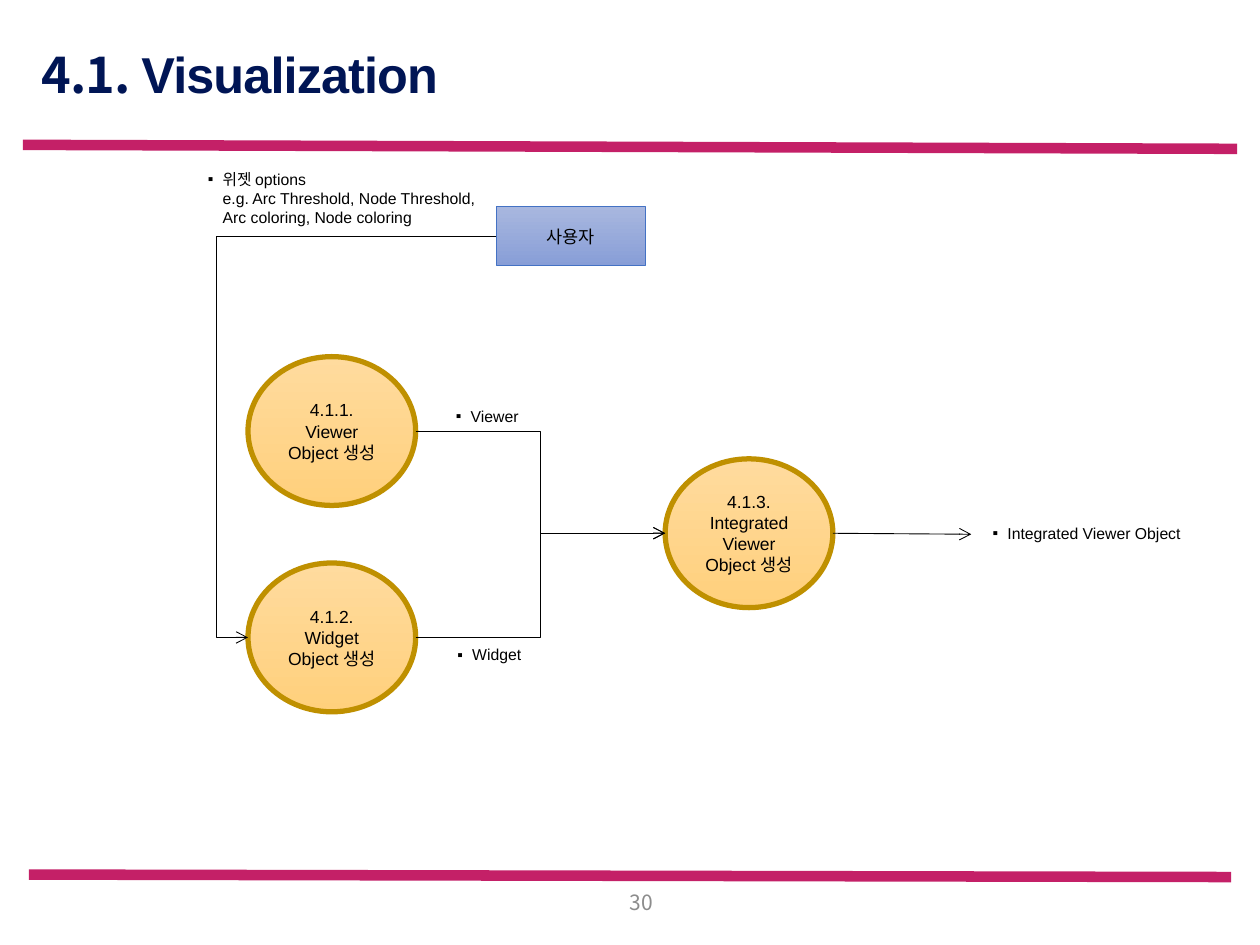
from lxml.etree import SubElement
from pptx import Presentation
from pptx.dml.color import RGBColor
from pptx.enum.shapes import MSO_CONNECTOR as Link, MSO_SHAPE as Kind
from pptx.enum.text import MSO_ANCHOR as Anchor, MSO_AUTO_SIZE as Fit, PP_ALIGN as Align
from pptx.oxml.ns import qn
from pptx.util import Cm, Pt

# Content, all lengths in cm
INK = {"rule": "C42067", "title": "001555", "page": "8C8C8C", "text": "000000",
       "ring": "BF9000", "top": "FFDB9E", "low": "FFD07C",
       "edge": "4472C4", "pale": "A8B7DF", "deep": "889ED7"}
SANS, CJK = "Arial", "Noto Sans CJK KR"
TITLE = [("4.1. ", CJK), ("Visualization", SANS)]
PAGE = "30"
RULES = [(0.46, 2.92, 24.94, 3.0), (0.58, 17.63, 24.82, 17.68)]
WIDE, HIGH = 3.38, 3.0
STEPS = {"view": ("4.1.1. Viewer Object 생성", 5.0, 7.19),
         "widget": ("4.1.2. Widget Object 생성", 5.0, 11.35),
         "joint": ("4.1.3. Integrated Viewer Object 생성", 13.41, 9.25)}
USER = ("사용자", 10.01, 4.17, 3.0, 1.19)
NOTES = [
    ("위젯 options\ve.g. Arc Threshold, Node Threshold,\vArc coloring, Node coloring",
     3.76, 3.3, 6.15, 1.42),
    ("Viewer", 8.76, 8.08, 1.98, 0.64),
    ("Widget", 8.79, 12.88, 1.98, 0.64),
    ("Integrated Viewer Object", 19.58, 10.44, 4.52, 0.64),
]
TURN = 4.37  # x where the user's line runs down
GOAL = (19.58, 10.77)

deck = Presentation()
deck.slide_width, deck.slide_height = Cm(25.4), Cm(19.05)
slide = deck.slides.add_slide(deck.slide_layouts[5])
shapes = slide.shapes


def tint(name):
    return RGBColor.from_string(INK[name])


def style(run, size, color="text", face=SANS):
    run.font.size, run.font.name = Pt(size), face
    run.font.color.rgb = tint(color)


def draw_line(kind, start, end, color="text", width=0.5, arrow=False, bend=None):
    line = shapes.add_connector(kind, *map(Cm, start + end))
    line.line.color.rgb, line.line.width = tint(color), Pt(width)
    props = line._element.spPr
    if arrow:
        SubElement(props.find(qn("a:ln")), qn("a:tailEnd"), type="arrow")
    if bend is not None:
        guides = props.find(qn("a:prstGeom")).get_or_add_avLst()
        SubElement(guides, qn("a:gd"), name="adj1", fmla=f"val {round(bend * 100000)}")
    SubElement(props, qn("a:effectLst"))


def draw_node(kind, text, box, colors, edge, width):
    node = shapes.add_shape(kind, *map(Cm, box))
    node.shadow.inherit = False
    node.fill.gradient()
    node.fill.gradient_angle = 270
    for stop, color, place in zip(node.fill.gradient_stops, colors, (0, 1)):
        stop.color.rgb, stop.position = tint(color), place
    node.line.color.rgb, node.line.width = tint(edge), Pt(width)
    frame = node.text_frame
    frame.text, frame.word_wrap = text, True
    frame.vertical_anchor = Anchor.MIDDLE
    para = frame.paragraphs[0]
    para.alignment = Align.CENTER
    style(para.runs[0], 10)


def add_note(text, *box):
    frame = shapes.add_textbox(*map(Cm, box)).text_frame
    frame.word_wrap, frame.auto_size = False, Fit.SHAPE_TO_FIT_TEXT
    para = frame.paragraphs[0]
    para.text = text
    props = para._p.get_or_add_pPr()
    props.set("marL", str(Cm(0.48)))
    props.set("indent", str(-Cm(0.3)))
    SubElement(props, qn("a:buFont"), typeface=SANS)
    SubElement(props, qn("a:buChar"), char="▪")
    for run in para.runs:
        style(run, 9)


# Title
head = shapes.title
head.left, head.top, head.width, head.height = map(Cm, (0.58, 1.02, 23.9, 1.09))
frame = head.text_frame
frame.vertical_anchor, frame.auto_size = Anchor.MIDDLE, Fit.NONE
para = frame.paragraphs[0]
para.alignment, para.line_spacing = Align.LEFT, 0.9
for text, face in TITLE:
    run = para.add_run()
    run.text = text
    style(run, 28.8, "title", face)
    run.font.bold = True
    run.font._element.set("spc", "-50")

# Rules and page number
for x1, y1, x2, y2 in RULES:
    draw_line(Link.STRAIGHT, (x1, y1), (x2, y2), "rule", 6)
frame = shapes.add_textbox(*map(Cm, (11.91, 17.91, 1.5, 0.56))).text_frame
frame.text, frame.word_wrap = PAGE, True
frame.vertical_anchor = Anchor.MIDDLE
frame.paragraphs[0].alignment = Align.RIGHT
style(frame.paragraphs[0].runs[0], 12, "page", CJK)

# User box and steps
draw_node(Kind.RECTANGLE, USER[0], USER[1:], ("pale", "deep"), "edge", 0.5)
west, east = {}, {}
for key, (text, x, y) in STEPS.items():
    draw_node(Kind.OVAL, text, (x, y, WIDE, HIGH), ("top", "low"), "ring", 3)
    west[key], east[key] = (x, y + HIGH / 2), (x + WIDE, y + HIGH / 2)

# Flows
start, end = (USER[1], USER[2] + USER[4] / 2), west["widget"]
bend = (start[0] - TURN) / (start[0] - end[0])
draw_line(Link.ELBOW, start, end, arrow=True, bend=bend)
for key in ("view", "widget"):
    draw_line(Link.ELBOW, east[key], west["joint"], arrow=True, bend=0.5)
draw_line(Link.STRAIGHT, east["joint"], GOAL, arrow=True)

# Flow labels
for note in NOTES:
    add_note(*note)

deck.save("out.pptx")
